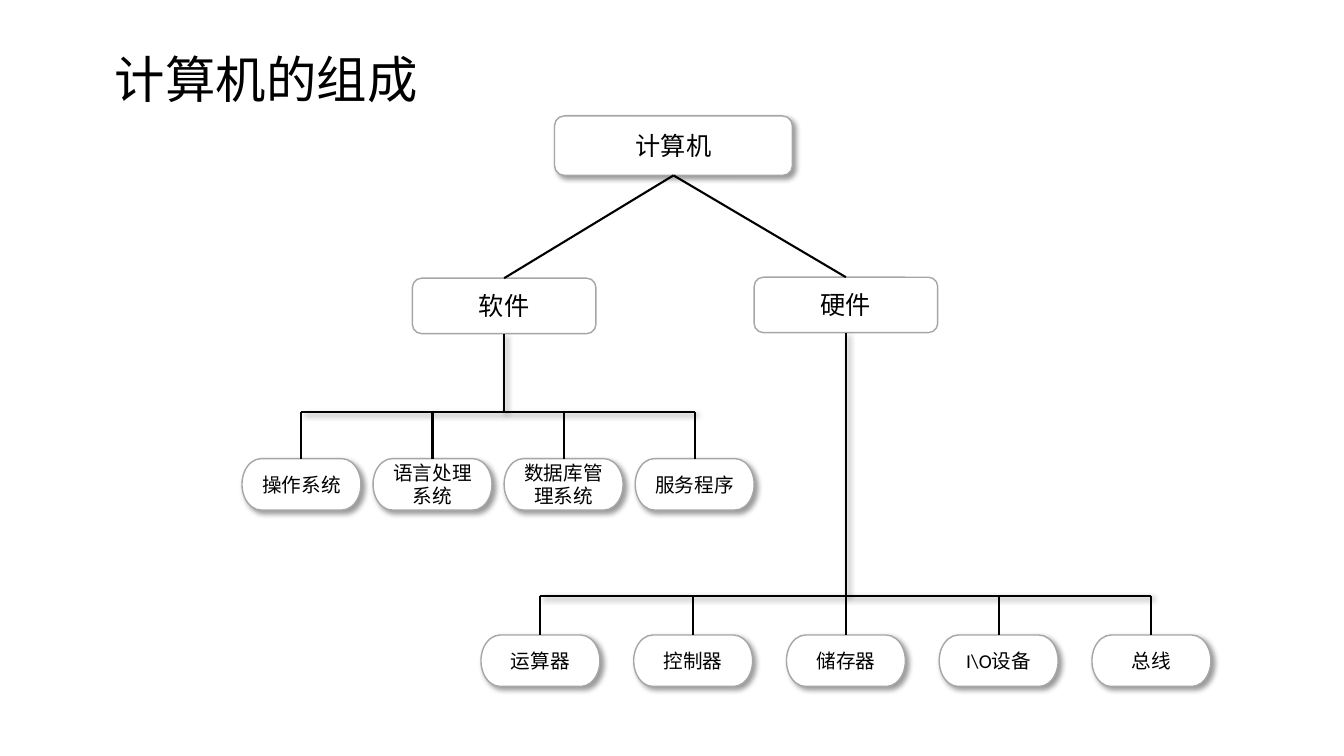
"""Build a slide with a tree diagram of the parts of a computer."""
from lxml import etree
from pptx import Presentation
from pptx.dml.color import RGBColor
from pptx.enum import shapes, text
from pptx.oxml import ns, parse_xml
from pptx.util import Pt

TITLE = "计算机的组成"
ROOT = ("计算机", (550, 115, 236, 59))
BRANCHES = [
    {
        "label": "软件", "box": (409, 276, 182, 55), "bus": 409,
        "leaf_top": 455, "first": 240, "last": 630,
        "leaves": ["操作系统", "语言处理系统", "数据库管理系统", "服务程序"],
    },
    {
        "label": "硬件", "box": (748, 275, 182, 55), "bus": 591,
        "leaf_top": 630, "first": 477, "last": 1083,
        "leaves": ["运算器", "控制器", "储存器", "I\\O设备", "总线"],
    },
]
LEAF_WIDTH, LEAF_HEIGHT = 118, 51
TITLE_BOX = (104, 43, 325, 71)

BLACK = RGBColor(0, 0, 0)
WHITE = RGBColor(255, 255, 255)
GREY = RGBColor(0xA6, 0xA6, 0xA6)
LATIN, CHINESE = "Calibri", "Noto Sans CJK SC"
SHADOW = (
    f'<a:outerShdw {ns.nsdecls("a")} blurRad="50800" dist="38100" dir="2700000" '
    'algn="tl" rotWithShape="0"><a:srgbClr val="000000"><a:alpha val="40000"/>'
    "</a:srgbClr></a:outerShdw>"
)


def px(length):
    return round(length * 9144)


def write(shape, wording, *, size, font=LATIN, align=text.PP_ALIGN.CENTER,
          anchor=text.MSO_ANCHOR.MIDDLE, wrap=True):
    frame = shape.text_frame
    frame.word_wrap = wrap
    frame.auto_size = text.MSO_AUTO_SIZE.NONE
    frame.vertical_anchor = anchor
    para = frame.paragraphs[0]
    para.alignment = align
    span = para.add_run()
    span.text = wording
    span.font.size = Pt(size)
    span.font.name = font
    span.font.color.rgb = BLACK
    east_asian = etree.SubElement(span.font._element, ns.qn("a:ea"))
    east_asian.set("typeface", CHINESE)


def add_node(page, kind, place, wording, *, size, shadow=True):
    node = page.shapes.add_shape(kind, *map(px, place))
    node.fill.solid()
    node.fill.fore_color.rgb = WHITE
    node.line.color.rgb = GREY
    node.line.width = Pt(1)
    node.shadow.inherit = False
    if shadow:
        node._element.spPr.find(ns.qn("a:effectLst")).append(parse_xml(SHADOW))
    write(node, wording, size=size)
    return node


def add_line(page, start, end, *, above=None, below=None, shadow=False):
    line = page.shapes.add_connector(
        shapes.MSO_CONNECTOR.STRAIGHT, *map(px, start + end))
    if above is not None:
        line.begin_connect(above, 2)
    if below is not None:
        line.end_connect(below, 0)
    line.line.color.rgb = BLACK
    line.line.width = Pt(1.5)
    effects = etree.SubElement(line._element.spPr, ns.qn("a:effectLst"))
    if shadow:
        effects.append(parse_xml(SHADOW))


def add_branch(page, root, branch):
    left, top, width, height = branch["box"]
    middle, bus = left + width / 2, branch["bus"]
    parent = add_node(page, shapes.MSO_SHAPE.ROUNDED_RECTANGLE, branch["box"],
                      branch["label"], size=18, shadow=False)
    add_line(page, (0, 0), (middle, top), above=root, below=parent)

    step = (branch["last"] - branch["first"]) / (len(branch["leaves"]) - 1)
    centres = []
    for index, label in enumerate(branch["leaves"]):
        leaf_left = branch["first"] + index * step
        centre = leaf_left + LEAF_WIDTH / 2
        leaf = add_node(page, shapes.MSO_SHAPE.FLOWCHART_TERMINATOR,
                        (leaf_left, branch["leaf_top"], LEAF_WIDTH, LEAF_HEIGHT),
                        label, size=14)
        add_line(page, (centre, bus), (centre, branch["leaf_top"]), below=leaf)
        centres.append(centre)
    add_line(page, (centres[0], bus), (centres[-1], bus), shadow=True)
    add_line(page, (middle, top + height), (middle, bus), above=parent, shadow=True)


def main():
    deck = Presentation()
    deck.slide_width, deck.slide_height = px(1333), px(750)
    page = deck.slides.add_slide(deck.slide_layouts[5])
    title = page.shapes.title
    title.left, title.top, title.width, title.height = map(px, TITLE_BOX)
    write(title, TITLE, size=36, font=CHINESE, align=text.PP_ALIGN.LEFT,
          anchor=text.MSO_ANCHOR.TOP, wrap=False)

    label, place = ROOT
    root = add_node(page, shapes.MSO_SHAPE.ROUNDED_RECTANGLE, place, label, size=18)
    for branch in BRANCHES:
        add_branch(page, root, branch)
    deck.save("out.pptx")


if __name__ == "__main__":
    main()
